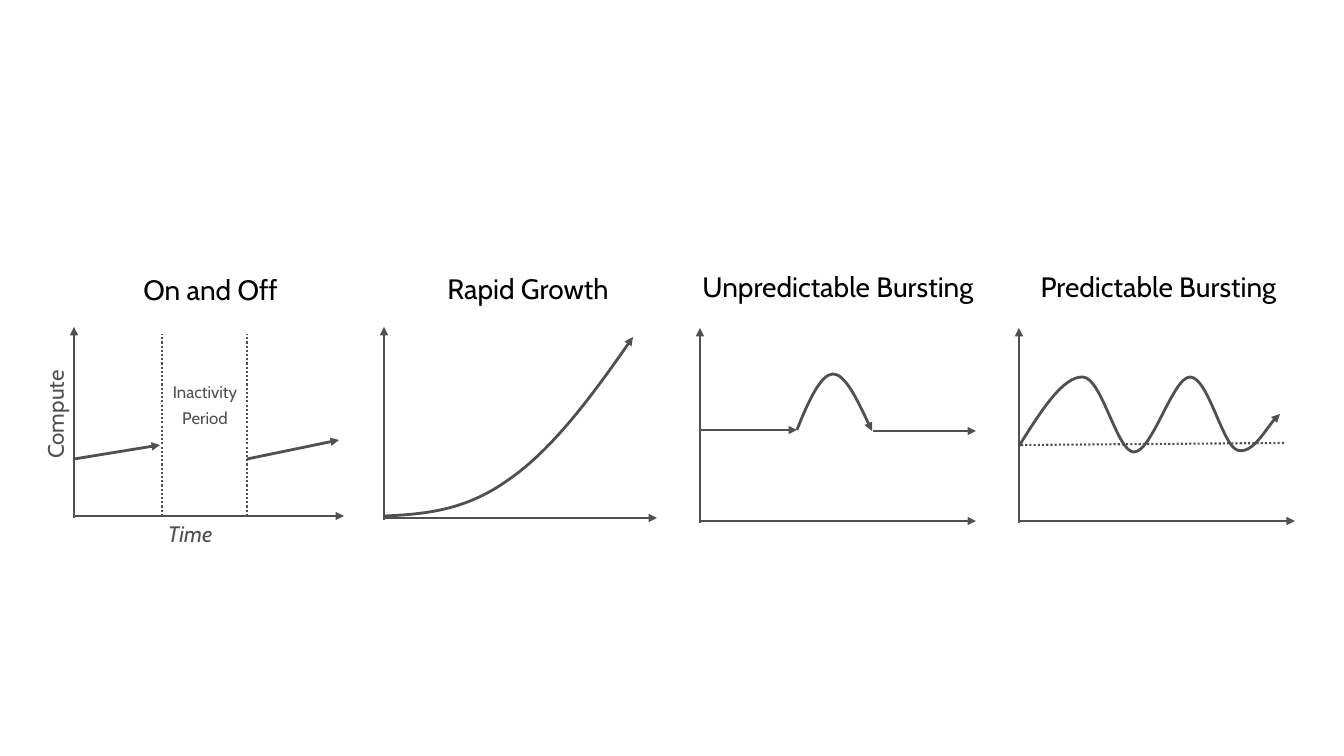
from lxml import etree
from pptx import Presentation
from pptx import util as u
from pptx.dml.color import RGBColor
from pptx.enum import dml, shapes, text
from pptx.oxml.ns import qn

PX = 914400 / 100.8
GREY = RGBColor(0x50, 0x50, 0x50)
BLACK = RGBColor(0, 0, 0)
FONT = "Cabin"

# Title, title box (left, top, width), axes (left, foot, top, base, right)
PANELS = [
    ("On and Off", (114, 271, 193), (74, 518, 327, 516, 344)),
    ("Rapid Growth", (360, 270, 336), (384, 520, 327, 518, 657)),
    ("Unpredictable Bursting", (679, 268, 318), (700, 523, 328, 521, 976)),
    ("Predictable Bursting", (1021, 268, 275), (1019, 523, 328, 521, 1295)),
]
# Straight trends and dotted guides: x1, y1, x2, y2
TRENDS = [
    (74, 459, 160, 445), (247, 459, 339, 440),
    (700, 430, 797, 430), (873, 431, 976, 431),
]
GUIDES = [
    (162, 516, 162, 334), (247, 516, 247, 334), (1021, 445, 1285, 443),
]
# Curves: a start point, then three Bezier points per segment
CURVES = [
    [(384, 516), (433, 514), (470, 508), (511, 478),
     (552, 449), (593, 395), (633, 337)],
    [(797, 430), (808, 402), (821, 374), (833, 374),
     (845, 374), (859, 403), (872, 431)],
    [(1019, 446), (1041, 411), (1063, 376), (1083, 377),
     (1102, 378), (1117, 452), (1134, 452),
     (1152, 452), (1173, 377), (1190, 377),
     (1208, 377), (1222, 444), (1237, 450),
     (1252, 455), (1271, 420), (1280, 414)],
]


def emu(*vals):
    return [u.Emu(round(v * PX)) for v in vals]


def style(item, dots=False):
    """Grey stroke: dotted guide, or solid with an arrowhead."""
    item.line.color.rgb = GREY
    item.line.width = u.Pt(1.5 if dots else 2)
    props = item._element.spPr
    if dots:
        item.line.dash_style = dml.MSO_LINE.ROUND_DOT
    else:
        etree.SubElement(props.find(qn("a:ln")), qn("a:tailEnd"),
                         type="triangle")
    if props.find(qn("a:effectLst")) is None:
        etree.SubElement(props, qn("a:effectLst"))


def line(ends, dots=False):
    item = slide.shapes.add_connector(shapes.MSO_CONNECTOR.STRAIGHT,
                                      *emu(*ends))
    style(item, dots)


def curve(pts):
    form = slide.shapes.build_freeform(*pts[0], scale=PX)
    form.add_line_segments(pts[1:], close=False)
    item = form.convert_to_shape()
    item.fill.background()
    item.shadow.inherit = False
    # Turn each three straight steps into one Bezier segment
    trace = item._element.find(".//" + qn("a:path"))
    steps = trace.findall(qn("a:lnTo"))
    for i in range(0, len(steps), 3):
        bend = etree.SubElement(trace, qn("a:cubicBezTo"))
        for step in steps[i:i + 3]:
            bend.append(step[0])
            trace.remove(step)
    style(item)


def label(words, box, size=20, color=BLACK, italic=False, turn=0,
          align=text.PP_ALIGN.CENTER, inset=5, lead=0.9, after=0):
    item = slide.shapes.add_textbox(*emu(*box))
    item.rotation = turn
    frame = item.text_frame
    frame.word_wrap = True
    frame.margin_left = frame.margin_right = 0
    frame.margin_top, frame.margin_bottom = emu(inset, inset)
    frame.text = words
    for para in frame.paragraphs:
        para.alignment = align
        para.line_spacing = lead
        para.space_after = u.Pt(after)
        font = para.font
        font.name, font.size, font.italic = FONT, u.Pt(size), italic
        font.color.rgb = color


deck = Presentation()
deck.slide_width, deck.slide_height = emu(1344, 756)
slide = deck.slides.add_slide(deck.slide_layouts[6])

# Panel titles and axes
for title, (left, top, width), (x, foot, peak, base, right) in PANELS:
    label(title, (left, top, width, 40))
    line((x, foot, x, peak))
    line((x, base, right, base))

# Trends and guides
for ends in TRENDS:
    line(ends)
for ends in GUIDES:
    line(ends, dots=True)
for pts in CURVES:
    curve(pts)

# Labels of the first panel
label("Time", (168, 520, 98, 29), size=16, color=GREY, italic=True,
      align=text.PP_ALIGN.LEFT, inset=0, lead=1.0)
label("Compute", (2, 401, 120, 27), size=16, color=GREY, turn=270,
      lead=u.Pt(10.7))
label("Inactivity\nPeriod", (157, 387, 96, 42), size=12, color=GREY,
      inset=0, lead=u.Pt(10.7), after=8)

deck.save("out.pptx")
